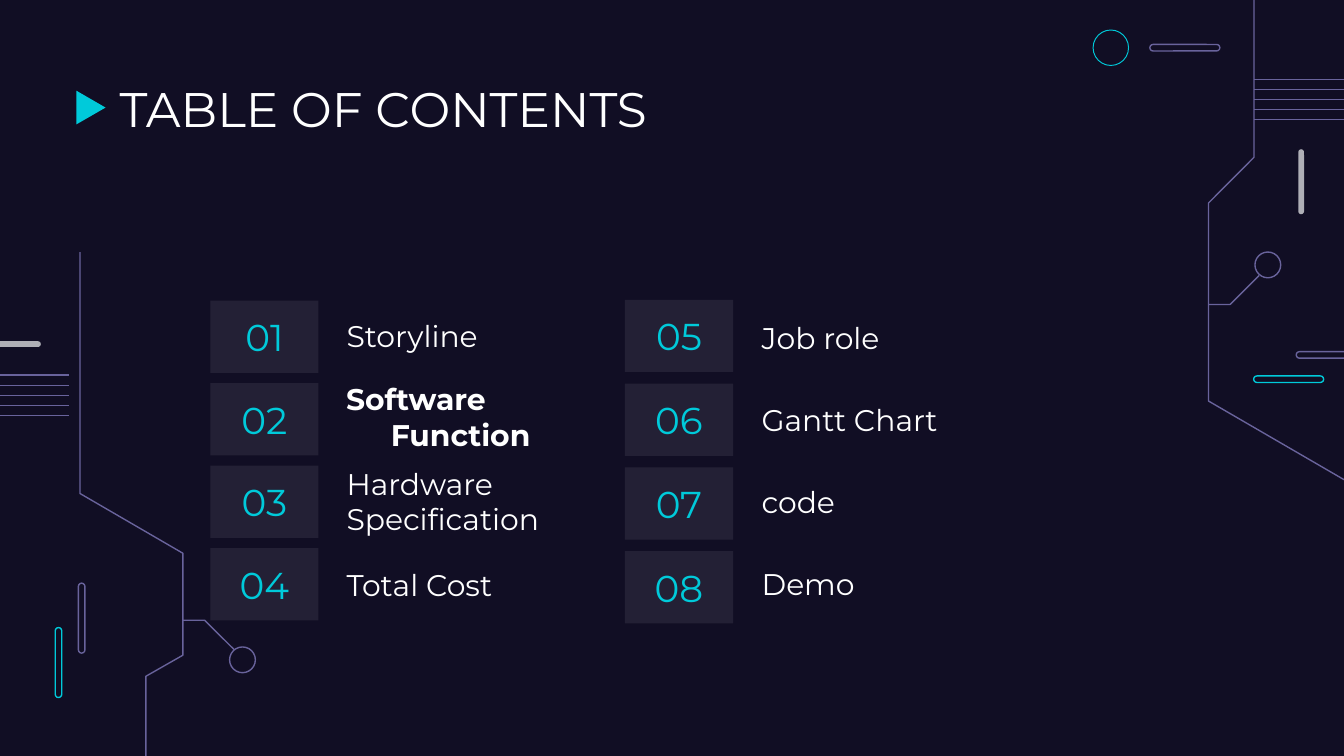
from lxml.etree import SubElement
from pptx import Presentation
from pptx.dml.color import RGBColor
from pptx.enum.shapes import MSO_CONNECTOR, MSO_SHAPE
from pptx.enum.text import MSO_ANCHOR, MSO_AUTO_SIZE, PP_ALIGN
from pptx.oxml.ns import qn
from pptx.util import Pt

COLORS = {
    "night": "110E24",
    "cyan": "00CADA",
    "violet": "69639C",
    "grey": "AFAFB6",
    "white": "FFFFFF",
}


def draw(preset, box, fill=None, line=None, weight=0.75):
    """Add a preset shape with only the given fill and outline."""
    shape = slide.shapes.add_shape(preset, *map(Pt, box))
    shape.shadow.inherit = False
    if fill:
        shape.fill.solid()
        shape.fill.fore_color.rgb = RGBColor.from_string(COLORS[fill])
    else:
        shape.fill.background()
    if line:
        shape.line.color.rgb = RGBColor.from_string(COLORS[line])
        shape.line.width = Pt(weight)
    else:
        shape.line.fill.background()
    return shape


def write(shape, text, size, color, anchor, align=PP_ALIGN.LEFT, bold=False):
    """Write one formatted run and return its paragraph."""
    frame = shape.text_frame
    frame.word_wrap = True
    frame.auto_size = MSO_AUTO_SIZE.NONE
    frame.vertical_anchor = anchor
    frame.margin_left = frame.margin_right = Pt(7.2)
    frame.margin_top = frame.margin_bottom = Pt(7.2)
    paragraph = frame.paragraphs[0]
    paragraph.alignment = align
    run = paragraph.add_run()
    run.text = text
    run.font.name = "Montserrat"
    run.font.size = Pt(size)
    run.font.bold = bold
    run.font.color.rgb = RGBColor.from_string(COLORS[color])
    return paragraph


prs = Presentation()
prs.slide_width, prs.slide_height = Pt(720), Pt(405)
slide = prs.slides.add_slide(prs.slide_layouts[5])
slide.background.fill.solid()
slide.background.fill.fore_color.rgb = RGBColor.from_string(COLORS["night"])

# Outlined pills and solid grey bars
for box, fill, line in [
    ((29.6, 336.2, 3.5, 37.5), None, "cyan"),
    ((42, 312.4, 3.5, 37.5), None, "violet"),
    ((671.6, 201.4, 37.5, 3.5), None, "cyan"),
    ((694.4, 188.4, 37.5, 3.5), None, "violet"),
    ((616, 23.8, 37.5, 3.5), None, "violet"),
    ((695.5, 80, 3.1, 34.8), "grey", None),
    ((-12.9, 182.8, 34.8, 3.1), "grey", None),
]:
    pill = draw(MSO_SHAPE.ROUNDED_RECTANGLE, box, fill, line)
    pill.adjustments[0] = 0.5

# Rings
draw(MSO_SHAPE.OVAL, (585.6, 16.1, 19, 19), line="cyan", weight=0.5)
for ring_left, ring_top in [(672.3, 135), (123, 346.6)]:
    draw(MSO_SHAPE.OVAL, (ring_left, ring_top, 13.8, 13.8), line="violet")

# Circuit traces
for trace_points in [
    [(674.5, 147.6), (659, 163.1), (647.4, 163.1)],
    [(720, 257), (647.4, 214.9), (647.4, 108.8), (671.8, 84.3), (671.8, 0)],
    [(125.4, 348), (109.6, 332.3), (98, 332.3)],
    [(42.9, 135), (42.9, 264.4), (98, 296.4), (98, 351), (78.2, 362.3), (78.2, 405)],
]:
    corners = [(Pt(x), Pt(y)) for x, y in trace_points]
    builder = slide.shapes.build_freeform(*corners[0])
    builder.add_line_segments(corners[1:], close=False)
    trace = builder.convert_to_shape()
    trace.shadow.inherit = False
    trace.fill.background()
    trace.line.color.rgb = RGBColor.from_string(COLORS["violet"])
    trace.line.width = Pt(0.75)

# Parallel lines at both edges
for start, end, first_y in [(671.8, 720, 42.6), (0, 37.2, 201)]:
    for step in range(5):
        y = Pt(first_y + 5.4 * step)
        stripe = slide.shapes.add_connector(
            MSO_CONNECTOR.STRAIGHT, Pt(start), y, Pt(end), y)
        stripe.line.color.rgb = RGBColor.from_string(COLORS["violet"])
        stripe.line.width = Pt(0.75)
        SubElement(stripe.element.spPr, qn("a:effectLst"))

# Title with its marker
marker = draw(MSO_SHAPE.FLOWCHART_MERGE, (39.8, 49.8, 18, 15.6), fill="cyan")
marker.rotation = 270
title = slide.shapes.title
title.left, title.top, title.width, title.height = map(Pt, (56.9, 35.3, 607, 45.4))
write(title, "TABLE OF CONTENTS", 26, "white", MSO_ANCHOR.TOP)

# Contents: number left, first number top, pitch, then label, left, top, width
columns = [
    (112.7, 161.1, 44.2, [
        ("Storyline", 178.6, 160.6, 213.8),
        ("Software Function", 166.3, 203.8, 147.6),
        ("Hardware Specification", 178.6, 249.1, 147.6),
        ("Total Cost", 178.6, 293.8, 213.8),
    ]),
    (334.8, 160.6, 44.9, [
        ("Job role", 401, 161.3, 140.4),
        ("Gantt Chart", 401, 205.5, 213.8),
        ("code", 401, 249.1, 213.8),
        ("Demo", 401, 293.4, 213.8),
    ]),
]
number = 0
for number_left, first_top, pitch, topics in columns:
    for row, (topic, left, top, width) in enumerate(topics):
        number += 1
        tile = draw(MSO_SHAPE.RECTANGLE,
                    (number_left, first_top + pitch * row, 57.9, 38.7), fill="white")
        tile_color = tile.element.spPr.find(qn("a:solidFill"))[0]
        SubElement(tile_color, qn("a:alpha"), val="8000")
        write(tile, f"{number:02d}", 20, "cyan", MSO_ANCHOR.MIDDLE, PP_ALIGN.CENTER)

        current = topic == "Software Function"
        label = slide.shapes.add_textbox(Pt(left), Pt(top), Pt(width), Pt(38.7))
        paragraph = write(label, topic, 16, "white", MSO_ANCHOR.MIDDLE, bold=current)
        if current:
            # Hanging indent for the highlighted topic
            properties = paragraph._p.get_or_add_pPr()
            properties.set("marL", str(Pt(36)))
            properties.set("indent", str(Pt(-24)))

prs.save("out.pptx")
